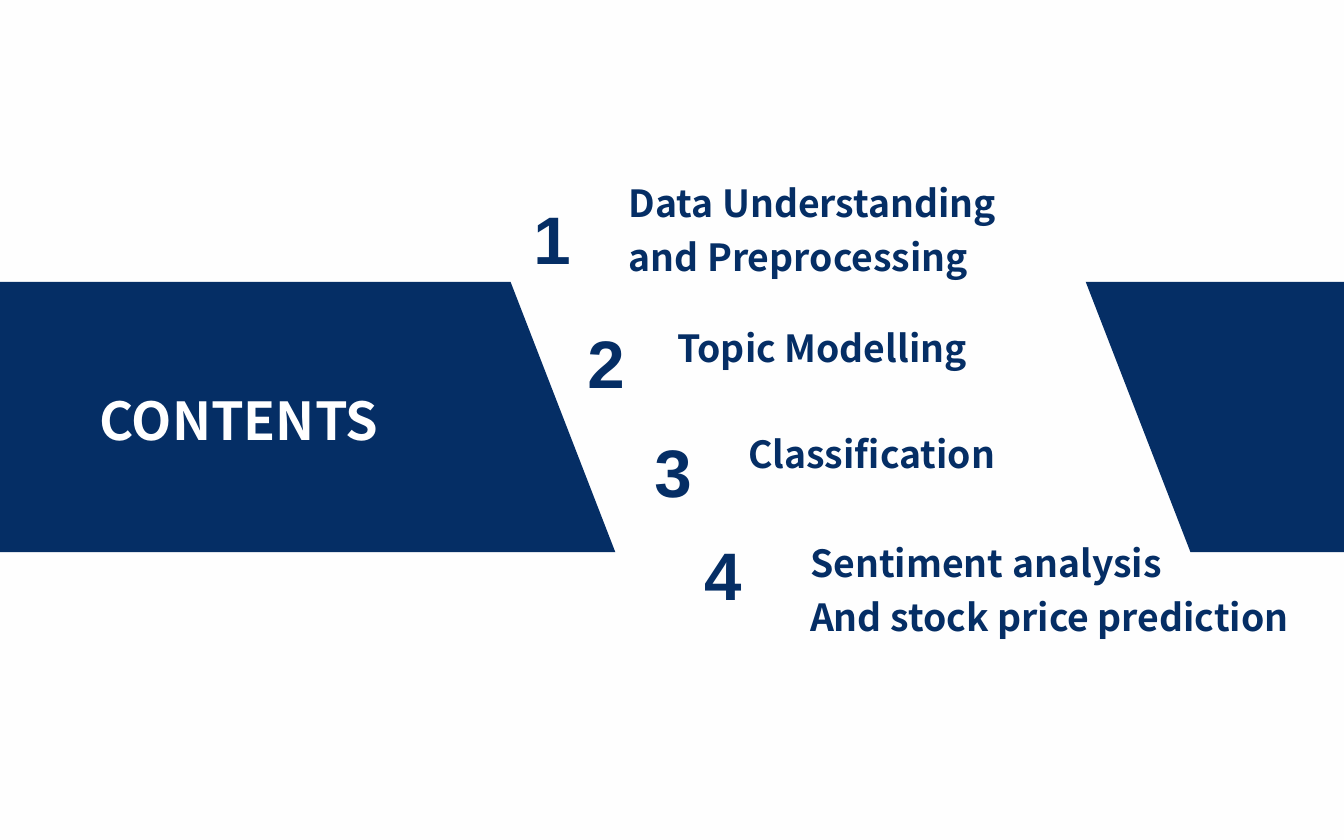
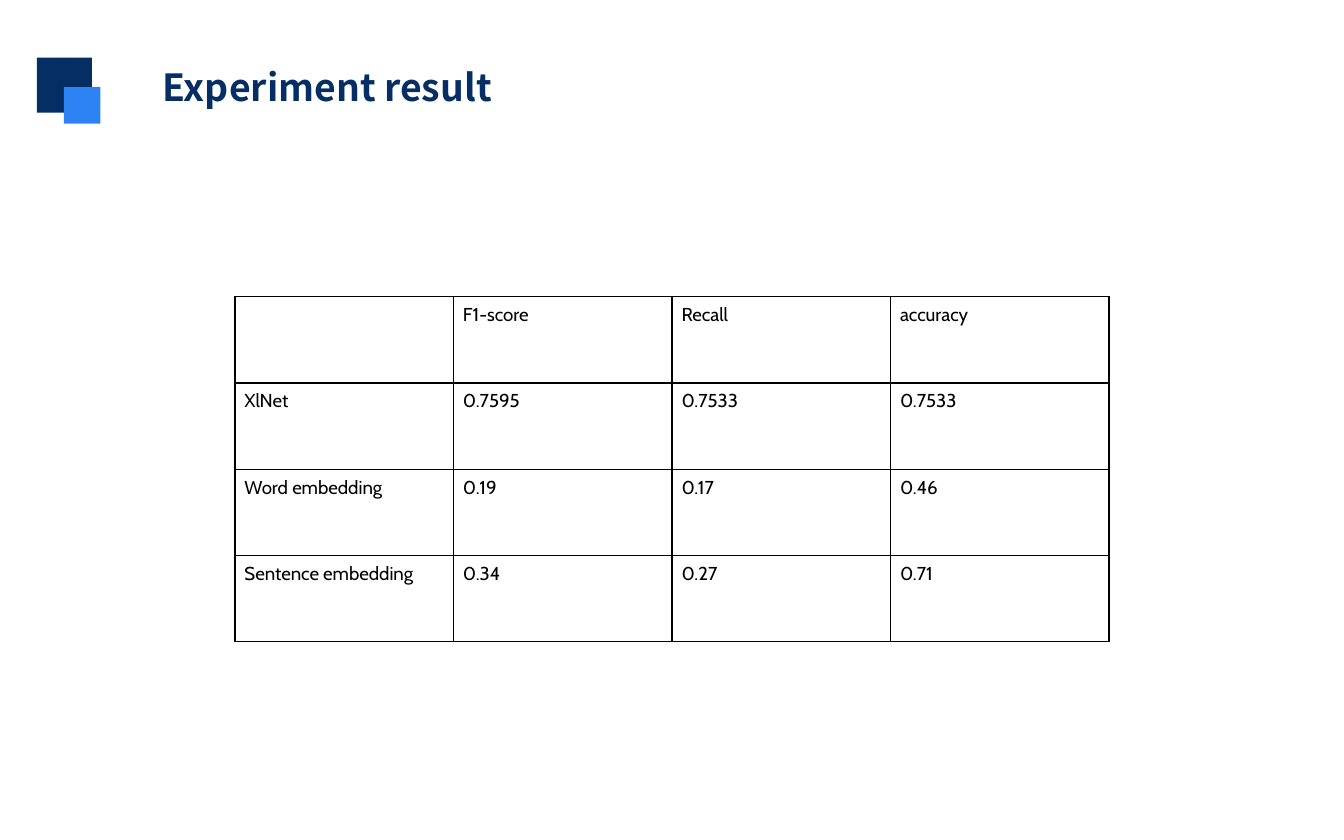
import lxml.etree
import pptx
import pptx.dml.color
import pptx.enum.shapes
import pptx.enum.text
import pptx.oxml.ns
import pptx.util

Cm = pptx.util.Cm
Pt = pptx.util.Pt
ALIGN = pptx.enum.text.PP_ALIGN
ANCHOR = pptx.enum.text.MSO_ANCHOR

COLORS = {
    "navy": "052E65",
    "blue": "2D83F4",
    "white": "FFFFFF",
    "offwhite": "FEFEFE",
    "black": "000000",
}
HEADING_FONT = "Noto Sans CJK SC"
STYLES = {
    "banner": {"name": HEADING_FONT, "size": Pt(28), "bold": True},
    "heading": {"name": HEADING_FONT, "size": Pt(20), "bold": True},
    "number": {"name": "Arial", "size": Pt(36), "bold": True},
    "cell": {"name": "Cabin", "size": Pt(10), "bold": False},
}
SLIDE_WIDTH, SLIDE_HEIGHT = 25.4, 15.88
BAND_TOP, BAND_BOTTOM, BAND_SLANT = 5.33, 10.44, 1.98

# Number position, then text position and width, then the lines of text
CONTENTS = [
    ((9.83, 3.51), (11.63, 3.1, 8.26), ["Data Understanding and Preprocessing"]),
    ((10.85, 5.84), (12.55, 5.84, 8.26), ["Topic Modelling"]),
    ((12.12, 7.9), (13.89, 7.85, 8.26), ["Classification"]),
    ((13.06, 9.86), (15.06, 9.91, 10.34),
     ["Sentiment analysis", "And stock price prediction"]),
]
RESULTS = [
    ["", "F1-score", "Recall", "accuracy"],
    ["XlNet", "0.7595", "0.7533", "0.7533"],
    ["Word embedding", "0.19", "0.17", "0.46"],
    ["Sentence embedding", "0.34", "0.27", "0.71"],
]


def rgb(color):
    return pptx.dml.color.RGBColor.from_string(COLORS[color])


def apply(target, values):
    for attribute, value in values.items():
        setattr(target, attribute, value)


def write(frame, lines, style, color, paragraph_format=None, **frame_format):
    """Fill a text frame with one paragraph per line."""
    apply(frame, frame_format)
    for index, line in enumerate(lines):
        paragraph = frame.add_paragraph() if index else frame.paragraphs[0]
        apply(paragraph, paragraph_format or {})
        run = paragraph.add_run()
        run.text = line
        apply(run.font, STYLES[style])
        run.font.color.rgb = rgb(color)


def add_text(slide, box, *args, **kwargs):
    label = slide.shapes.add_textbox(*map(Cm, box))
    write(label.text_frame, *args, **kwargs)


def set_title(slide, text, box, style, color, paragraph_format, **frame_format):
    """Place the title in front of the shapes drawn so far."""
    title = slide.shapes.title
    apply(title, dict(zip(("left", "top", "width", "height"), map(Cm, box))))
    write(title.text_frame, [text], style, color, paragraph_format,
          auto_size=pptx.enum.text.MSO_AUTO_SIZE.NONE, **frame_format)
    slide.shapes._spTree.append(title._element)


def paint(shape, color):
    shape.shadow.inherit = False
    shape.fill.solid()
    shape.fill.fore_color.rgb = rgb(color)
    shape.line.fill.background()


def add_band(slide, corners):
    points = [(Cm(x), Cm(y)) for x, y in corners]
    builder = slide.shapes.build_freeform(*points[0])
    builder.add_line_segments(points[1:], close=True)
    paint(builder.convert_to_shape(), "navy")


def add_square(slide, left, top, side, color):
    square = slide.shapes.add_shape(
        pptx.enum.shapes.MSO_SHAPE.RECTANGLE,
        Cm(left), Cm(top), Cm(side), Cm(side))
    paint(square, color)


def add_borders(cell, color, width):
    properties = cell._tc.get_or_add_tcPr()
    qn = pptx.oxml.ns.qn
    for index, side in enumerate(("lnL", "lnR", "lnT", "lnB")):
        line = lxml.etree.Element(qn(f"a:{side}"), w=str(width))
        fill = lxml.etree.SubElement(line, qn("a:solidFill"))
        lxml.etree.SubElement(fill, qn("a:srgbClr"), val=COLORS[color])
        properties.insert(index, line)


def add_results_table(slide, rows, left, top, column_width, row_height):
    row_count, column_count = len(rows), len(rows[0])
    table = slide.shapes.add_table(
        row_count, column_count, Cm(left), Cm(top),
        Cm(column_width * column_count), Cm(row_height * row_count)).table
    apply(table, {"first_row": False, "horz_banding": False})
    margins = {"margin_left": Cm(0.18), "margin_right": Cm(0.18),
               "margin_top": Cm(0.13), "margin_bottom": Cm(0.13)}
    for row, values in enumerate(rows):
        for column, value in enumerate(values):
            cell = table.cell(row, column)
            apply(cell, margins)
            cell.fill.background()
            add_borders(cell, "black", Pt(0.75))
            if value:
                write(cell.text_frame, [value], "cell", "black")


def add_slide(deck, background):
    slide = deck.slides.add_slide(deck.slide_layouts[5])
    slide.background.fill.solid()
    slide.background.fill.fore_color.rgb = rgb(background)
    return slide


def build_contents(deck):
    slide = add_slide(deck, "offwhite")
    right_edge, left_edge = 20.52, 9.65
    add_band(slide, [(right_edge, BAND_TOP), (SLIDE_WIDTH, BAND_TOP),
                     (SLIDE_WIDTH, BAND_BOTTOM),
                     (right_edge + BAND_SLANT, BAND_BOTTOM)])
    add_band(slide, [(0, BAND_TOP), (left_edge, BAND_TOP),
                     (left_edge + BAND_SLANT, BAND_BOTTOM), (0, BAND_BOTTOM)])
    set_title(slide, "CONTENTS", (1.42, 7.37, 6.2, 1.14), "banner", "white",
              {"alignment": ALIGN.CENTER},
              word_wrap=False, vertical_anchor=ANCHOR.MIDDLE)
    for number, (corner, (left, top, width), lines) in enumerate(CONTENTS, 1):
        add_text(slide, (*corner, 1.25, 1.27), [str(number)], "number", "navy",
                 word_wrap=False, margin_top=Cm(0.23))
        height = 2.21 if number in (1, 4) else 1.19
        add_text(slide, (left, top, width, height), lines, "heading", "navy",
                 {"line_spacing": Pt(29)}, word_wrap=True)


def build_results(deck):
    slide = add_slide(deck, "white")
    set_title(slide, "Experiment result", (2.82, 1.09, 7.09, 1.12),
              "heading", "navy",
              {"alignment": ALIGN.LEFT, "line_spacing": Pt(24)},
              word_wrap=True, vertical_anchor=ANCHOR.TOP)
    add_square(slide, 0.7, 1.09, 1.04, "navy")
    add_square(slide, 1.21, 1.65, 0.69, "blue")
    add_results_table(slide, RESULTS, 4.44, 5.61, 4.13, 1.63)


def main():
    deck = pptx.Presentation()
    apply(deck, {"slide_width": Cm(SLIDE_WIDTH), "slide_height": Cm(SLIDE_HEIGHT)})
    build_contents(deck)
    build_results(deck)
    deck.save("out.pptx")


if __name__ == "__main__":
    main()
